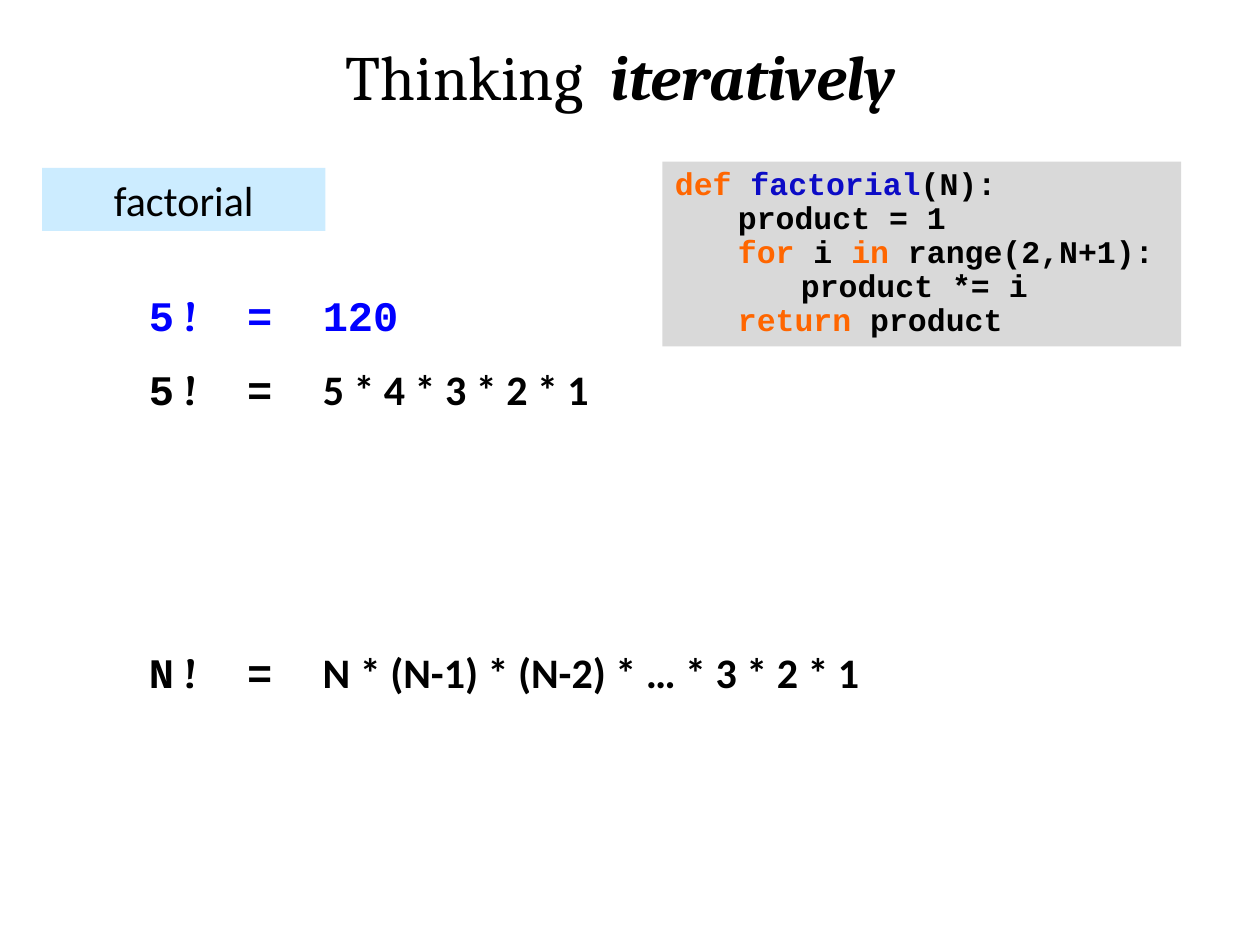
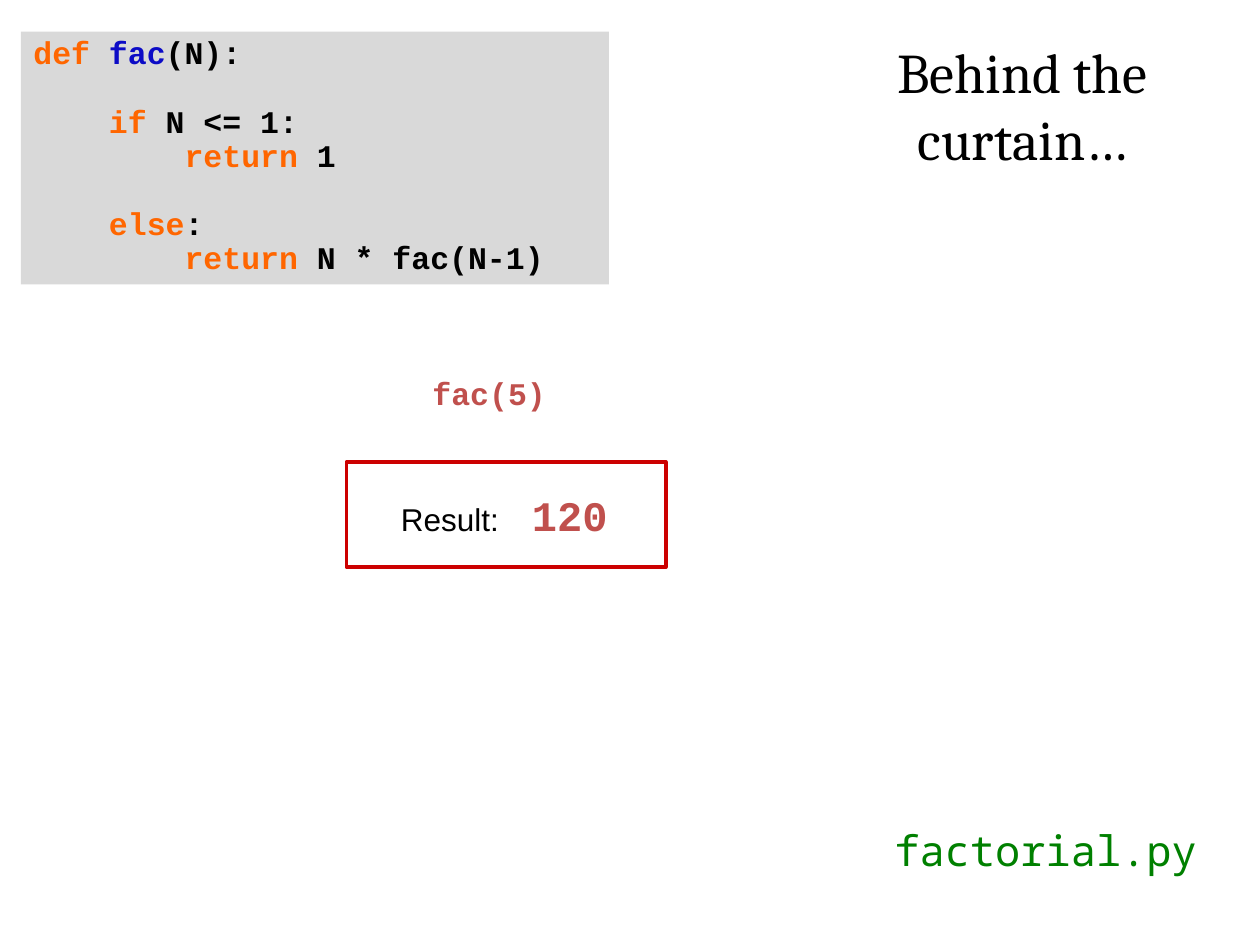
from lxml import etree
from pptx import Presentation
from pptx import util as u
from pptx.dml.color import RGBColor
from pptx.enum import shapes, text
from pptx.oxml.ns import qn

BLACK = RGBColor(0x00, 0x00, 0x00)
BLUE = RGBColor(0x00, 0x00, 0xFF)
NAVY = RGBColor(0x0C, 0x0B, 0xC6)
ORANGE = RGBColor(0xFF, 0x66, 0x00)
BRICK = RGBColor(0xC0, 0x50, 0x4D)
RED = RGBColor(0xCC, 0x00, 0x00)
GREEN = RGBColor(0x00, 0x80, 0x00)
GREY = RGBColor(0xD9, 0xD9, 0xD9)
SKY = RGBColor(0xCC, 0xEC, 0xFF)

HEAD, BODY, CODE, PLAIN, FILE = (
    "Cambria", "Calibri", "Courier New", "Arial", "Noto Sans Mono")
COLS, ROWS = 120, 90
LEFT, MID = text.PP_ALIGN.LEFT, text.PP_ALIGN.CENTER


class Deck:
    """Holds the style, the grid and the current slide."""

    def __init__(self):
        self.prs = Presentation()
        self.prs.slide_width, self.prs.slide_height = u.Inches(10), u.Inches(7.5)
        self.col = self.prs.slide_width / COLS
        self.row = self.prs.slide_height / ROWS

    def page(self):
        self.slide = self.prs.slides.add_slide(self.prs.slide_layouts[6])

    def place(self, x, y, w, h):
        return [round(n) for n in (x * self.col, y * self.row,
                                   w * self.col, h * self.row)]

    def block(self, at, fill=None, line=None):
        """Rectangle with an optional fill and outline."""
        box = self.slide.shapes.add_shape(
            shapes.MSO_SHAPE.RECTANGLE, *self.place(*at))
        box.shadow.inherit = False
        if fill is None:
            box.fill.background()
        else:
            box.fill.solid()
            box.fill.fore_color.rgb = fill
        if line is None:
            box.line.fill.background()
        else:
            box.line.color.rgb = line
            box.line.width = u.Pt(2.25)
        return box

    def frame(self, box, wrap=True):
        """Top-anchored text frame that grows with its text."""
        body = box.text_frame
        body.word_wrap = wrap
        body.auto_size = text.MSO_AUTO_SIZE.SHAPE_TO_FIT_TEXT
        body.vertical_anchor = text.MSO_ANCHOR.TOP
        return body

    def runs(self, para, parts, align=LEFT):
        """Fill a paragraph from (words, font, size, colour, bold) parts."""
        para.alignment = align
        for words, face, size, tint, bold in parts:
            run = para.add_run()
            run.text = words
            font = run.font
            font.name, font.size, font.bold = face, u.Pt(size), bold
            font.color.rgb = tint

    def label(self, at, *parts, align=LEFT, tabs=(), wrap=True, fill=None):
        """One paragraph, with tab stops in inches from the text edge."""
        if fill is None:
            box = self.slide.shapes.add_textbox(*self.place(*at))
        else:
            box = self.block(at, fill)
        para = self.frame(box, wrap).paragraphs[0]
        self.runs(para, parts, align)
        if tabs:
            stops = etree.SubElement(para._p.get_or_add_pPr(), qn("a:tabLst"))
            for stop in tabs:
                etree.SubElement(stops, qn("a:tab"),
                                 pos=str(u.Inches(stop)), algn="l")
        return box

    def title(self, at, words, stress="", size=36):
        box = self.label(at, (words, HEAD, size, BLACK, False), align=MID)
        if stress:
            para = box.text_frame.paragraphs[0]
            self.runs(para, [(stress, HEAD, size, BLACK, True)], MID)
            para.runs[-1].font.italic = True

    def sum(self, row, width, base, value, face=BODY, tint=BLACK):
        """Equation line: base ! = value, lined up on tab stops."""
        self.label((13, row, width, 6),
                   (base, CODE, 24, tint, True), (" !", HEAD, 24, tint, True),
                   ("\t=\t", CODE, 24, tint, True), (value, face, 24, tint, True),
                   tabs=(0.78, 1.38))

    def code(self, at, lines, step):
        """Listing of (level, gap in points, parts); step is inches a level."""
        body = self.frame(self.block(at, GREY))
        for num, (level, gap, parts) in enumerate(lines):
            para = body.add_paragraph() if num else body.paragraphs[0]
            para.line_spacing = 0.9
            para.space_before = u.Pt(gap)
            para._p.get_or_add_pPr().set("marL", str(u.Inches(step * level)))
            self.runs(para, [(words, CODE, 18, tint, True)
                             for words, tint in parts])


def loop(deck):
    deck.page()
    deck.label((4, 16, 27, 6), ("factorial", BODY, 24, BLACK, False),
               align=MID, fill=SKY)

    # Equations
    deck.sum(34, 70, "5", "5 * 4 * 3 * 2 * 1")
    deck.sum(61, 78, "N", "N * (N-1) * (N-2) * … * 3 * 2 * 1")
    deck.sum(27, 70, "5", "120", CODE, BLUE)

    # Heading and listing
    deck.title((9.1, 3, 100, 8.4), "Thinking  ", "iteratively")
    deck.code((63.1, 15.4, 49.4, 17.6), [
        (0, 0, [("def ", ORANGE), ("factorial", NAVY), ("(N):", BLACK)]),
        (1, 0, [("product = 1", BLACK)]),
        (1, 0, [("for ", ORANGE), ("i ", BLACK), ("in ", ORANGE),
                ("range(2,N+1):", BLACK)]),
        (2, 0, [("product *= i", BLACK)]),
        (1, 0, [("return", ORANGE), (" product", BLACK)]),
    ], step=0.5)


def curtain(deck):
    deck.page()

    # Call and result
    deck.label((40, 35, 39, 6), ("fac(5)", CODE, 18, BRICK, True))
    deck.label((37, 46, 24.7, 6), ("Result:\t", PLAIN, 18, BLACK, False),
               ("120", CODE, 24, BRICK, True), tabs=(1.04,))
    deck.block((33, 44, 30.4, 10), line=RED)

    # Heading, listing and file name
    deck.title((79.4, 3, 36, 14.2), "Behind the curtain…", size=32)
    skip = 19.5
    deck.code((2, 3, 56, 24.1), [
        (0, 0, [("def ", ORANGE), ("fac", NAVY), ("(N):", BLACK)]),
        (1, skip, [("if", ORANGE), (" N <= 1:", BLACK)]),
        (2, 0, [("return", ORANGE), (" 1", BLACK)]),
        (1, skip, [("else", ORANGE), (":", BLACK)]),
        (2, 0, [("return", ORANGE), (" N * fac(N-1)", BLACK)]),
    ], step=0.6)
    deck.label((84, 77.9, 31.5, 6), ("factorial.py", FILE, 24, GREEN, False),
               wrap=False)


def main():
    deck = Deck()
    loop(deck)
    curtain(deck)
    deck.prs.save("out.pptx")


if __name__ == "__main__":
    main()
